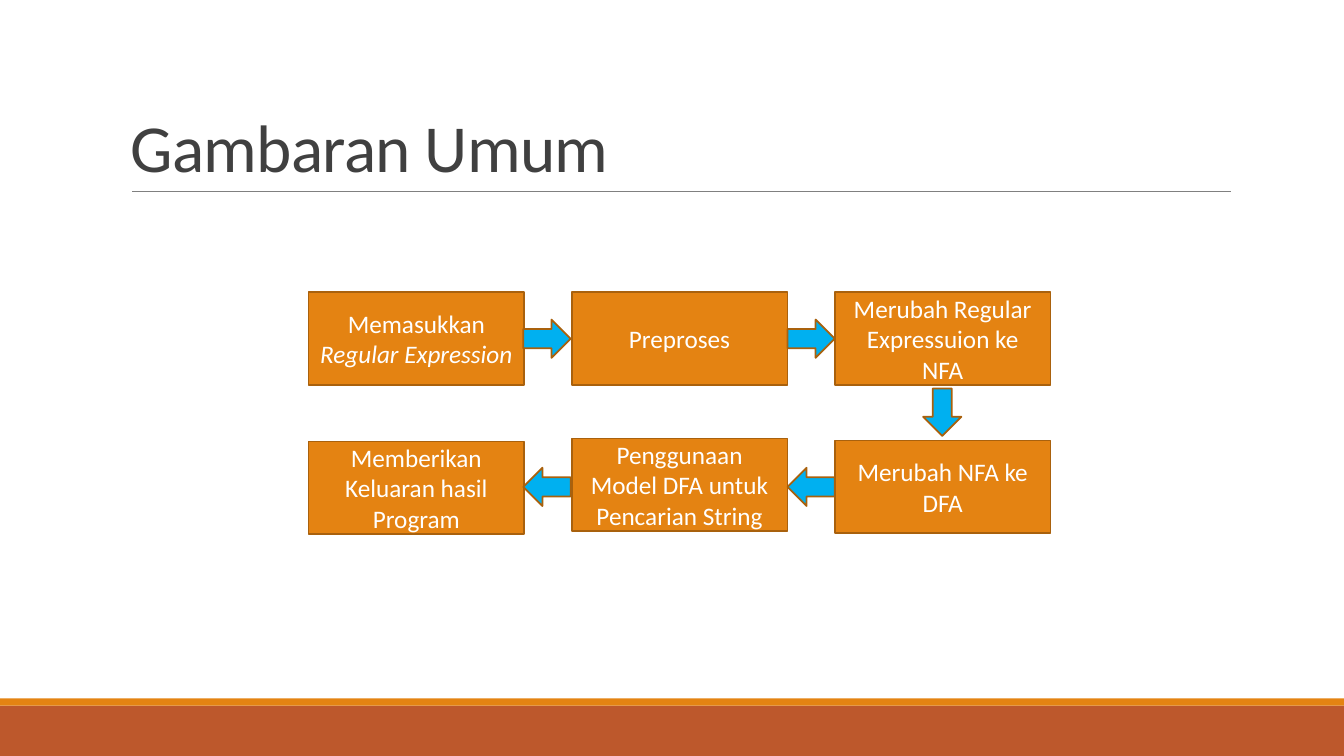
import dataclasses

import pptx
import pptx.dml.color
import pptx.enum.shapes
import pptx.enum.text
import pptx.util
from lxml import etree

EMU = 9144  # one px is a hundredth of an inch
SHAPE = pptx.enum.shapes.MSO_SHAPE
ALIGN = pptx.enum.text.PP_ALIGN
ANCHOR = pptx.enum.text.MSO_ANCHOR

WIDE, HIGH = 1333, 750
LEFT, STEP = 306, 261
BOX_W, BOX_H = 214, 92
TIP_W, TIP_H = 47, 38


@dataclasses.dataclass(frozen=True)
class Theme:
    font: str = "Calibri"
    title: str = "404040"
    text: str = "FFFFFF"
    rule: str = "808080"
    foot: str = "BD582C"
    box: str = "E48312"
    edge: str = "A9610D"
    tip: str = "00B0F0"
    title_size: int = 48
    box_size: int = 18
    edge_size: float = 1.25
    rule_size: float = 0.5


THEME = Theme()

# column, top, text, text in italics
STEPS = [
    (0, 290, "Memasukkan ", "Regular Expression"),
    (1, 290, "Preproses", ""),
    (2, 290, "Merubah Regular Expressuion ke NFA", ""),
    (2, 437, "Merubah NFA ke DFA", ""),
    (1, 435, "Penggunaan Model DFA untuk Pencarian String", ""),
    (0, 438, "Memberikan Keluaran hasil Program", ""),
]

# left, top, turn
TIPS = [
    (519, 317, 0),
    (781, 317, 0),
    (781, 464, 180),
    (519, 464, 180),
    (911, 390, 90),
]


def px(*sizes):
    return [pptx.util.Emu(size * EMU) for size in sizes]


def rgb(code):
    return pptx.dml.color.RGBColor.from_string(code)


def style(run, size, color):
    run.font.name = THEME.font
    run.font.size = pptx.util.Pt(size)
    run.font.color.rgb = rgb(color)


def add_block(slide, kind, area, fill, edge=None):
    """Add a flat preset shape, with an outline if edge is given."""
    block = slide.shapes.add_shape(kind, *px(*area))
    block.shadow.inherit = False
    block.fill.solid()
    block.fill.fore_color.rgb = rgb(fill)
    if edge:
        block.line.color.rgb = rgb(edge)
        block.line.width = pptx.util.Pt(THEME.edge_size)
    else:
        block.line.fill.background()
    return block


def add_rule(slide):
    rule = slide.shapes.add_connector(
        pptx.enum.shapes.MSO_CONNECTOR.STRAIGHT, *px(131, 190, 1221, 190))
    rule.line.color.rgb = rgb(THEME.rule)
    rule.line.width = pptx.util.Pt(THEME.rule_size)
    props = rule._element.spPr
    etree.SubElement(props, pptx.oxml.ns.qn("a:effectLst"))


def add_title(slide, text):
    frame = slide.shapes.add_textbox(*px(120, 31, 1100, 159)).text_frame
    frame.word_wrap = True
    frame.vertical_anchor = ANCHOR.BOTTOM
    frame.text = text
    para = frame.paragraphs[0]
    para.line_spacing = 0.85
    run = para.runs[0]
    style(run, THEME.title_size, THEME.title)
    run._r.get_or_add_rPr().set("spc", "-50")


def add_step(slide, col, top, text, slant):
    area = (LEFT + col * STEP, top, BOX_W, BOX_H)
    box = add_block(slide, SHAPE.RECTANGLE, area, THEME.box, THEME.edge)
    frame = box.text_frame
    frame.word_wrap = True
    frame.vertical_anchor = ANCHOR.MIDDLE
    frame.text = text
    para = frame.paragraphs[0]
    para.alignment = ALIGN.CENTER
    if slant:
        run = para.add_run()
        run.text = slant
        run.font.italic = True
    for run in para.runs:
        style(run, THEME.box_size, THEME.text)


def add_tip(slide, left, top, turn):
    area = (left, top, TIP_W, TIP_H)
    tip = add_block(slide, SHAPE.RIGHT_ARROW, area, THEME.tip, THEME.edge)
    tip.rotation = turn


def main():
    deck = pptx.Presentation()
    deck.slide_width, deck.slide_height = px(WIDE, HIGH)
    slide = deck.slides.add_slide(deck.slide_layouts[6])
    add_block(slide, SHAPE.RECTANGLE, (0, 700, WIDE, 50), THEME.foot)
    add_block(slide, SHAPE.RECTANGLE, (0, 693, WIDE, 7), THEME.box)
    add_rule(slide)
    add_title(slide, "Gambaran Umum")
    for step in STEPS:
        add_step(slide, *step)
    for tip in TIPS:
        add_tip(slide, *tip)
    deck.save("out.pptx")


if __name__ == "__main__":
    main()
